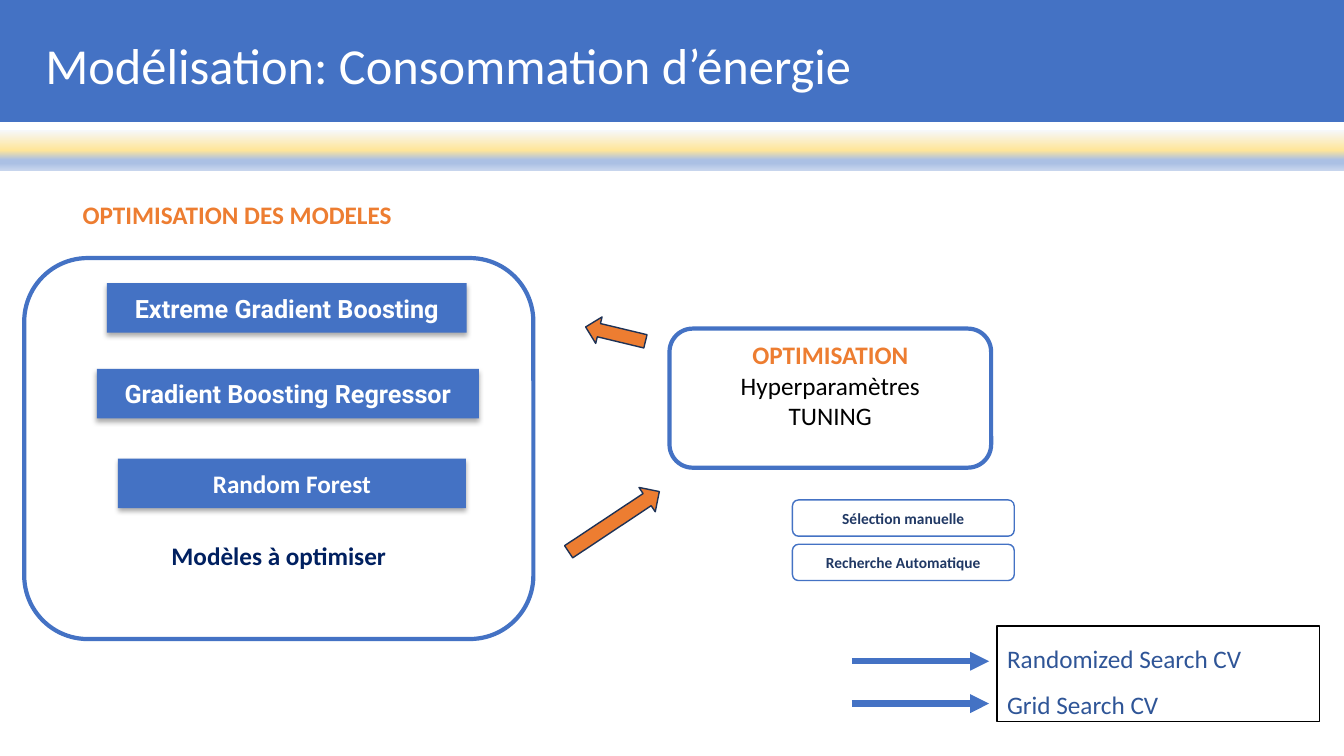
from pptx import Presentation
from pptx.dml.color import RGBColor
from pptx.enum.shapes import MSO_CONNECTOR as Connector, MSO_SHAPE as Shape
from pptx.enum.text import MSO_ANCHOR as Anchor, PP_ALIGN as Align
from pptx.oxml import parse_xml
from pptx.oxml.ns import nsdecls, qn
from pptx.util import Inches, Pt

BLUE = RGBColor(0x44, 0x72, 0xC4)
ORANGE = RGBColor(0xED, 0x7D, 0x31)
WHITE = RGBColor(0xFF, 0xFF, 0xFF)
BLACK = RGBColor(0x00, 0x00, 0x00)
NAVY = RGBColor(0x00, 0x20, 0x60)
DARK_BLUE = RGBColor(0x20, 0x38, 0x64)
SEARCH_BLUE = RGBColor(0x2F, 0x55, 0x97)
ARROW_EDGE = RGBColor(0x1E, 0x32, 0x56)

TITLE = "Modélisation: Consommation d’énergie"
HEADING = "OPTIMISATION DES MODELES"
MODELS_CAPTION = "Modèles à optimiser"
MODELS = [
    ("Extreme Gradient Boosting", "Roboto", (1.06, 2.81, 3.57, 0.49)),
    ("Gradient Boosting Regressor", "Roboto", (0.96, 3.66, 3.79, 0.49)),
    ("Random Forest", "Calibri", (1.17, 4.55, 3.45, 0.49)),
]
TUNING = [("OPTIMISATION", ORANGE, True), ("Hyperparamètres", BLACK, False), ("TUNING", BLACK, False)]
METHODS = ["Sélection manuelle", "Recherche Automatique"]
SEARCHES = ["Randomized Search CV", "Grid Search CV"]
BLOCK_ARROWS = [((5.8, 3.18, 0.61, 0.27), 193.5), ((5.55, 5.03, 1.08, 0.29), 326.4)]
BAND_STOPS = [(0, "F6F8FC"), (50, "FFE699"), (74, "ABC0E4"), (83, "ABC0E4"), (100, "C7D5ED")]


def add_text(frame, text, size=18, color=BLACK, bold=False, font="Calibri",
             align=Align.CENTER, spacing=None, first=True):
    """Write one formatted paragraph into a text frame."""
    para = frame.paragraphs[0] if first else frame.add_paragraph()
    para.alignment = align
    if spacing:
        para.line_spacing = spacing
    span = para.add_run()
    span.text = text
    span.font.name, span.font.size, span.font.bold = font, Pt(size), bold
    span.font.color.rgb = color


def add_box(page, kind, place, fill=WHITE, line=None, width=1):
    """Draw a flat preset shape with middle-anchored text."""
    box = page.shapes.add_shape(kind, *map(Inches, place))
    box.shadow.inherit = False
    if fill is not None:
        box.fill.solid()
        box.fill.fore_color.rgb = fill
    if line is None:
        box.line.fill.background()
    else:
        box.line.color.rgb, box.line.width = line, Pt(width)
    box.text_frame.word_wrap = True
    box.text_frame.vertical_anchor = Anchor.MIDDLE
    return box


def add_shadow(box):
    """Give a shape a soft shadow below it."""
    effects = box._element.spPr.find(qn("a:effectLst"))
    effects.append(parse_xml(
        f'<a:outerShdw {nsdecls("a")} blurRad="{Pt(3.5)}" dist="{Pt(2.2)}" dir="5400000" '
        'algn="t" rotWithShape="0"><a:srgbClr val="000000"><a:alpha val="32000"/>'
        '</a:srgbClr></a:outerShdw>'))


def add_band(page):
    """Draw the vertical gradient band below the title."""
    band = add_box(page, Shape.RECTANGLE, (0, 1.29, 13.33, 0.4), fill=None)
    stops = "".join(f'<a:gs pos="{at * 1000}"><a:srgbClr val="{color}"/></a:gs>'
                    for at, color in BAND_STOPS)
    band._element.spPr.find(qn("a:prstGeom")).addnext(parse_xml(
        f'<a:gradFill {nsdecls("a")} rotWithShape="1"><a:gsLst>{stops}</a:gsLst>'
        '<a:lin ang="5400000" scaled="0"/></a:gradFill>'))


def add_title(page):
    """Format the title placeholder as the blue header."""
    title = page.shapes.title
    title.left, title.top, title.width, title.height = map(Inches, (0, -0.04, 13.33, 1.25))
    title.fill.solid()
    title.fill.fore_color.rgb = BLUE
    frame = title.text_frame
    frame.vertical_anchor = Anchor.MIDDLE
    frame.margin_left, frame.margin_top = Inches(0.45), Inches(0.16)
    add_text(frame, TITLE, size=36, color=WHITE, align=Align.LEFT)


def add_models(page):
    """Draw the heading and the models to optimise."""
    heading = page.shapes.add_textbox(*map(Inches, (0.72, 1.93, 3.38, 0.4)))
    heading.text_frame.word_wrap = True
    add_text(heading.text_frame, HEADING, color=ORANGE, bold=True, align=Align.LEFT)

    group = add_box(page, Shape.ROUNDED_RECTANGLE, (0.24, 2.56, 5.05, 3.78), line=BLUE, width=3)
    group.text_frame.vertical_anchor = Anchor.BOTTOM
    group.text_frame.margin_bottom = Inches(0.49)
    add_text(group.text_frame, MODELS_CAPTION, color=NAVY, bold=True)

    for name, font, place in MODELS:
        card = add_box(page, Shape.RECTANGLE, place, fill=BLUE)
        add_shadow(card)
        add_text(card.text_frame, name, color=WHITE, bold=True, font=font)


def add_tuning(page):
    """Draw the tuning box, its methods and the block arrows."""
    box = add_box(page, Shape.ROUNDED_RECTANGLE, (6.64, 3.26, 3.19, 1.38), line=BLUE, width=3)
    box.text_frame.margin_top, box.text_frame.margin_bottom = 0, Inches(0.26)
    for row, (text, color, bold) in enumerate(TUNING):
        add_text(box.text_frame, text, color=color, bold=bold, first=row == 0)

    for row, method in enumerate(METHODS):
        place = (7.86, 4.96 + 0.44 * row, 2.2, 0.36)
        label = add_box(page, Shape.ROUNDED_RECTANGLE, place, line=BLUE)
        add_text(label.text_frame, method, size=11, color=DARK_BLUE, bold=True)

    for place, angle in BLOCK_ARROWS:
        arrow = add_box(page, Shape.RIGHT_ARROW, place, fill=ORANGE, line=ARROW_EDGE)
        arrow.rotation = angle


def add_searches(page):
    """Draw the search box with one arrow per search."""
    box = add_box(page, Shape.RECTANGLE, (9.89, 6.21, 3.2, 0.95), line=BLACK)
    for row, search in enumerate(SEARCHES):
        add_text(box.text_frame, search, color=SEARCH_BLUE, align=Align.LEFT,
                 spacing=1.5, first=row == 0)
        y = 6.56 + 0.42 * row
        arrow = page.shapes.add_connector(Connector.STRAIGHT, *map(Inches, (8.45, y, 9.81, y)))
        arrow.line.color.rgb, arrow.line.width = BLUE, Pt(4.5)
        arrow.line._get_or_add_ln().append(parse_xml(f'<a:tailEnd {nsdecls("a")} type="triangle"/>'))
        arrow._element.spPr.append(parse_xml(f'<a:effectLst {nsdecls("a")}/>'))


def main():
    """Build the slide and save the deck."""
    deck = Presentation()
    deck.slide_width, deck.slide_height = Inches(13.33), Inches(7.5)
    page = deck.slides.add_slide(deck.slide_layouts[5])
    add_title(page)
    add_band(page)
    add_models(page)
    add_tuning(page)
    add_searches(page)
    deck.save("out.pptx")


if __name__ == "__main__":
    main()
